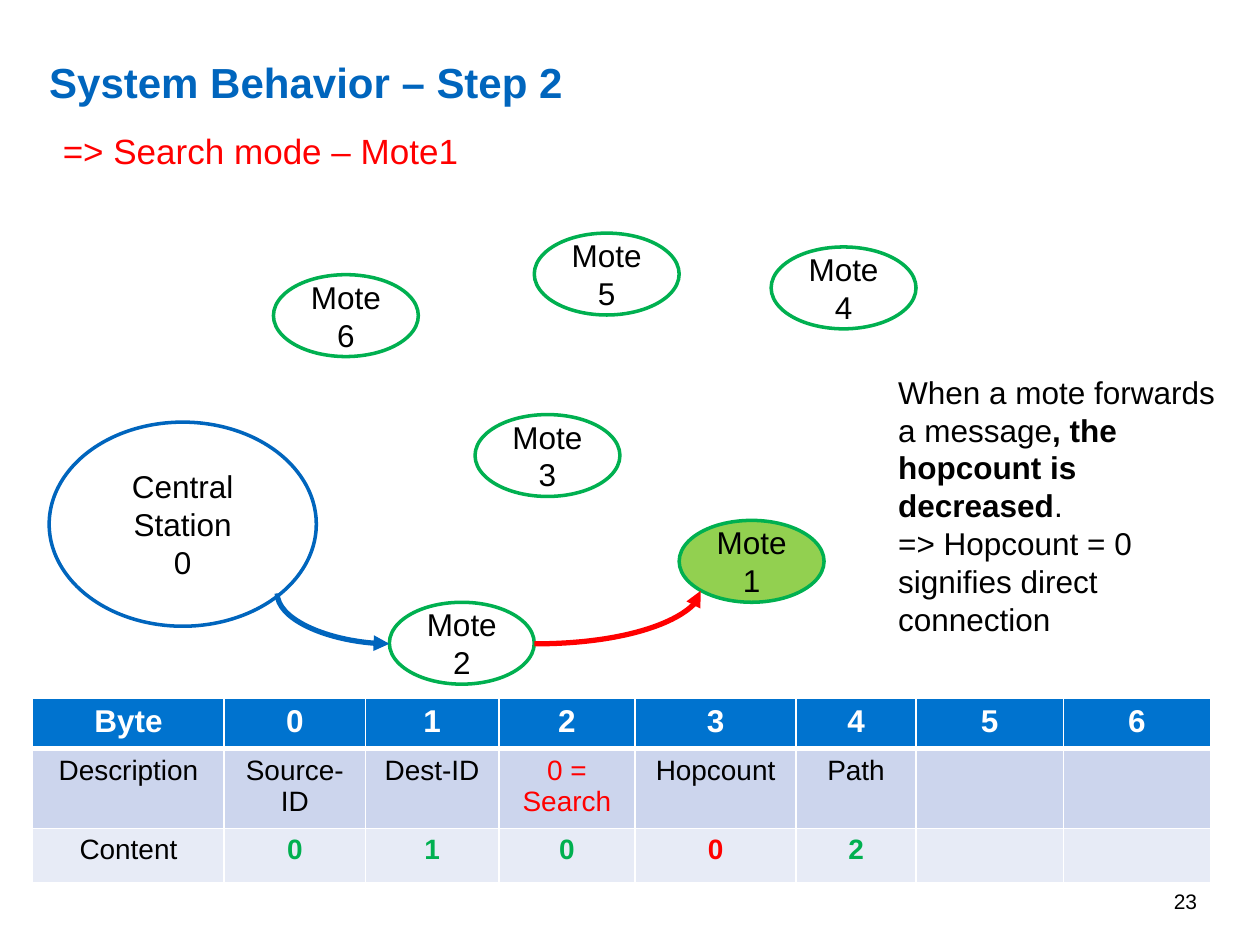
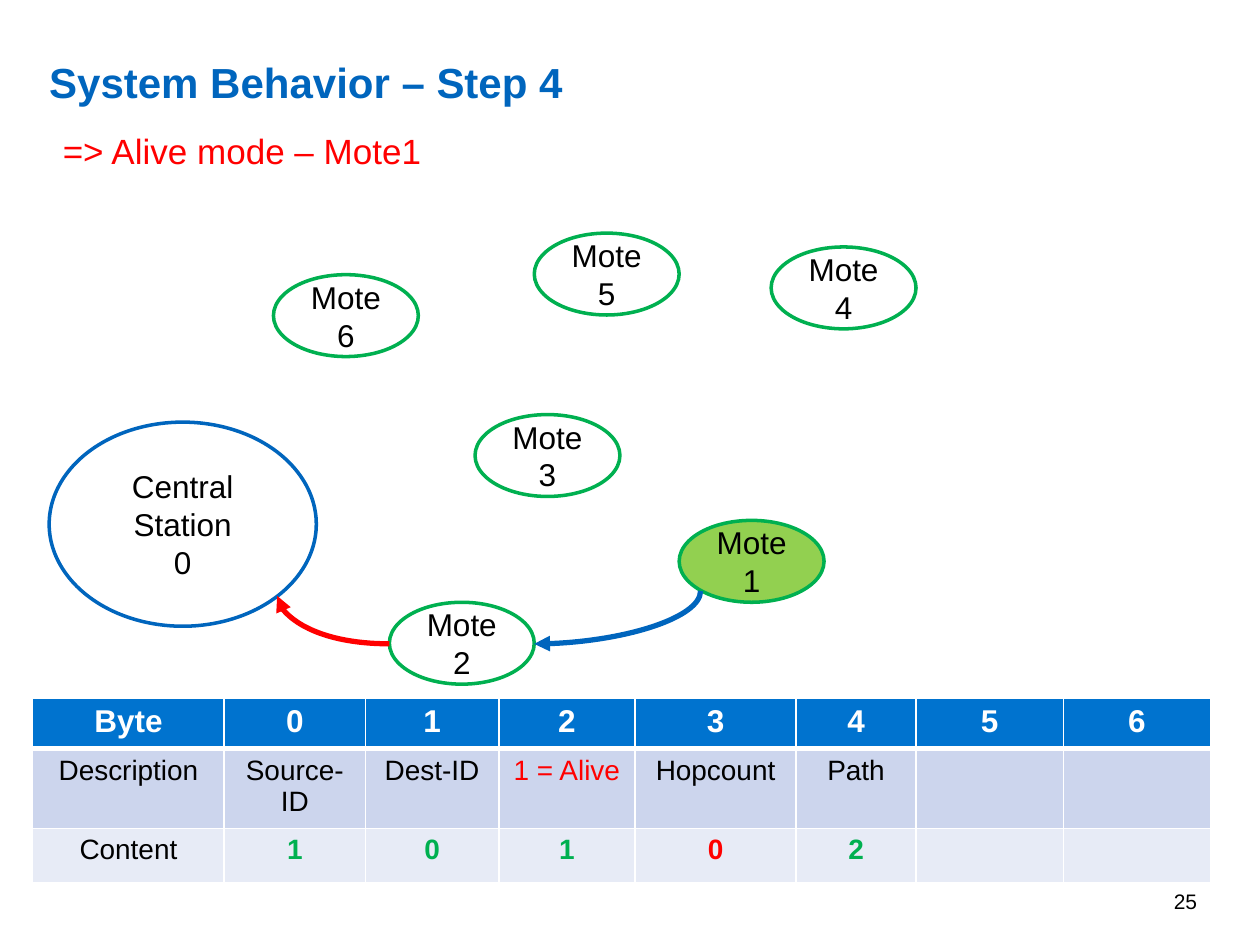
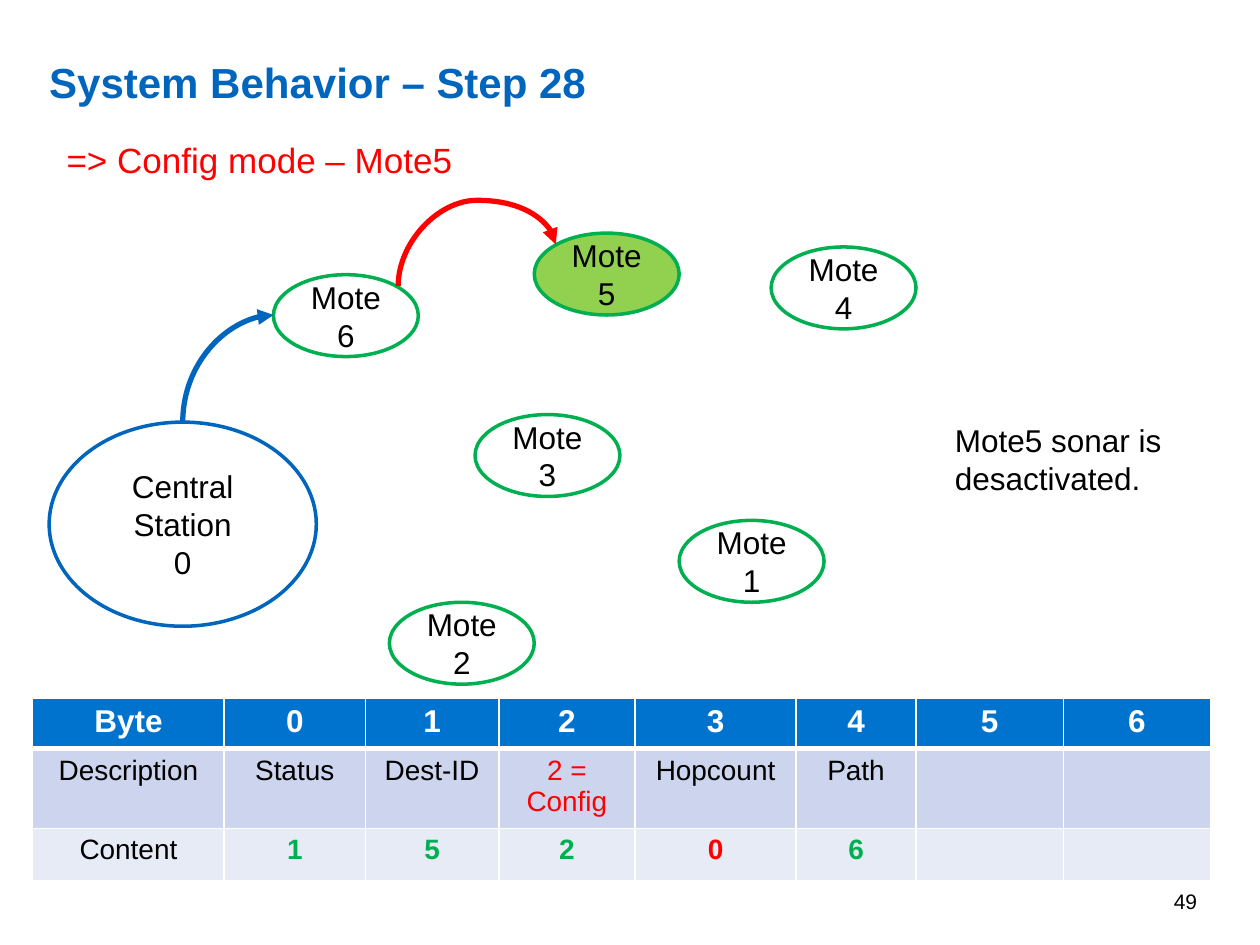
from lxml.etree import SubElement
from pptx import Presentation
from pptx.dml.color import RGBColor
from pptx.enum.shapes import MSO_CONNECTOR, MSO_SHAPE
from pptx.enum.text import MSO_ANCHOR as Anchor, MSO_AUTO_SIZE as AutoSize, PP_ALIGN as Align
from pptx.oxml.ns import qn
from pptx.util import Inches, Pt

# Shared style
FONT = "Arial"
BLUE = RGBColor(0x00, 0x65, 0xBD)
GREEN = RGBColor(0x00, 0xB0, 0x50)
LIME = RGBColor(0x92, 0xD0, 0x50)
RED = RGBColor(0xFF, 0x00, 0x00)
BLACK = RGBColor(0x00, 0x00, 0x00)
WHITE = RGBColor(0xFF, 0xFF, 0xFF)
HEADER_BLUE = RGBColor(0x00, 0x73, 0xCF)
ROW_FILLS = [HEADER_BLUE, RGBColor(0xCC, 0xD5, 0xED), RGBColor(0xE7, 0xEB, 0xF6)]

# Network layout
STATION = (0.39, 3.35, 2.12, 1.62)
MOTE_SIZE = (1.15, 0.65)
MOTES = {6: (2.17, 2.18), 5: (4.24, 1.85), 2: (3.09, 4.78),
         4: (6.12, 1.96), 3: (3.77, 3.29), 1: (5.39, 4.13)}

# Message table
TABLE_LEFT, TABLE_TOP = 0.26, 5.54
COLUMN_WIDTHS = [1.52, 1.12, 1.06, 1.08, 1.28, 0.95, 1.17, 1.17]
TALL_ROWS = [0.4, 0.63, 0.43]
SHORT_ROWS = [0.38, 0.61, 0.42]
HEADER = ["Byte", "0", "1", "2", "3", "4", "5", "6"]
MODE_COLUMN, HOPCOUNT_COLUMN = 3, 4


def format_paragraph(para, size, color=BLACK, bold=None, align=Align.LEFT):
    para.alignment = align
    for span in para.runs:
        span.font.name = FONT
        span.font.size = Pt(size)
        span.font.color.rgb = color
        if bold is not None:
            span.font.bold = bold


def add_title(page, text):
    title = page.shapes.title
    title.left, title.top = Inches(0.39), Inches(0.4)
    title.width, title.height = Inches(7.84), Inches(0.39)
    frame = title.text_frame
    frame.text = text
    frame.auto_size = AutoSize.NONE
    frame.vertical_anchor = Anchor.MIDDLE
    frame.margin_left = frame.margin_right = frame.margin_top = frame.margin_bottom = 0
    frame.paragraphs[0].line_spacing = 1.25
    format_paragraph(frame.paragraphs[0], 24, BLUE, True)


def add_text(page, place, text, size, color=BLACK, align=Align.LEFT, wrap=True):
    box = page.shapes.add_textbox(*map(Inches, place))
    frame = box.text_frame
    frame.word_wrap = wrap
    frame.text = text
    format_paragraph(frame.paragraphs[0], size, color, align=align)
    return frame


def add_page_number(page, number):
    frame = add_text(page, (7.27, 6.95, 2.33, 0.4), number, 12, align=Align.RIGHT)
    frame.vertical_anchor = Anchor.MIDDLE


def add_note(page, place, paragraphs):
    """Each paragraph is a list of (text, bold) spans."""
    frame = add_text(page, place, "", 18)
    for index, spans in enumerate(paragraphs):
        para = frame.add_paragraph() if index else frame.paragraphs[0]
        for text, bold in spans:
            span = para.add_run()
            span.text = text
            span.font.bold = bold
        format_paragraph(para, 18)


def add_node(page, place, text, line, fill=WHITE):
    node = page.shapes.add_shape(MSO_SHAPE.OVAL, *map(Inches, place))
    node.shadow.inherit = False
    node.fill.solid()
    node.fill.fore_color.rgb = fill
    node.line.color.rgb = line
    node.line.width = Pt(2)
    frame = node.text_frame
    frame.text = text
    frame.word_wrap = True
    frame.vertical_anchor = Anchor.MIDDLE
    for para in frame.paragraphs:
        format_paragraph(para, 18, align=Align.CENTER)


def add_network(page, active_mote):
    add_node(page, STATION, "Central Station\n0", BLUE)
    for number, corner in MOTES.items():
        fill = LIME if number == active_mote else WHITE
        add_node(page, corner + MOTE_SIZE, f"Mote {number}", GREEN, fill)


def add_hop(page, start, end, color, upright=False, bulge=None):
    """Curved arrow; upright ones leave vertically, a bulge makes them arch over."""
    (x1, y1), (x2, y2) = start, end
    if upright:
        # Ends of the curve before its quarter turn about the centre
        mid_x, mid_y = (x1 + x2) / 2, (y1 + y2) / 2
        half_x, half_y = (y2 - y1) / 2, (x1 - x2) / 2
        x1, y1, x2, y2 = mid_x - half_x, mid_y - half_y, mid_x + half_x, mid_y + half_y
    hop = page.shapes.add_connector(MSO_CONNECTOR.CURVE, *map(Inches, (x1, y1, x2, y2)))
    hop.line.color.rgb = color
    hop.line.width = Pt(3)
    properties = hop._element.spPr
    if upright:
        properties.find(qn("a:xfrm")).set("rot", "5400000")
    geometry = properties.find(qn("a:prstGeom"))
    if bulge is None:
        geometry.set("prst", "curvedConnector2")
    else:
        guides = geometry.find(qn("a:avLst"))
        SubElement(guides, qn("a:gd"), name="adj1", fmla=f"val {round(bulge * 100000)}")
    SubElement(properties.find(qn("a:ln")), qn("a:tailEnd"), type="triangle")
    SubElement(properties, qn("a:effectLst"))


def add_border(cell, side, width):
    edge = SubElement(cell._tc.get_or_add_tcPr(), qn(f"a:ln{side}"), w=str(Pt(width)))
    fill = SubElement(edge, qn("a:solidFill"))
    SubElement(fill, qn("a:srgbClr"), val=str(WHITE))


def cell_style(row, column):
    """Size, colour and weight of the text in a cell."""
    if row == 0:
        return 18, WHITE, True
    if row == 1:
        return 16, RED if column == MODE_COLUMN else BLACK, False
    if column == 0:
        return 16, BLACK, False
    return 16, RED if column == HOPCOUNT_COLUMN else GREEN, True


def add_message_table(page, source, mode, content, row_heights):
    rows = [HEADER,
            ["Description", source, "Dest-ID", mode, "Hopcount", "Path", "", ""],
            ["Content", *content, "", ""]]
    place = (TABLE_LEFT, TABLE_TOP, sum(COLUMN_WIDTHS), sum(row_heights))
    table = page.shapes.add_table(len(rows), len(HEADER), *map(Inches, place)).table
    table.horz_banding = False
    for column, width in zip(table.columns, COLUMN_WIDTHS):
        column.width = Inches(width)
    for row, texts in enumerate(rows):
        table.rows[row].height = Inches(row_heights[row])
        for column, text in enumerate(texts):
            cell = table.cell(row, column)
            for side in "LRTB":
                thick = (row, side) in ((0, "B"), (1, "T"))
                add_border(cell, side, 3 if thick else 1)
            cell.fill.solid()
            cell.fill.fore_color.rgb = ROW_FILLS[row]
            cell.text = text
            format_paragraph(cell.text_frame.paragraphs[0], *cell_style(row, column),
                             align=Align.CENTER)


def add_step(deck, step, number, mode, mode_place, active_mote):
    page = deck.slides.add_slide(deck.slide_layouts[5])
    add_page_number(page, number)
    add_title(page, f"System Behavior – Step {step}")
    add_network(page, active_mote)
    add_text(page, mode_place, f"=> {mode} mode – Mote{active_mote}", 20, RED, wrap=False)
    return page


def main():
    deck = Presentation()
    deck.slide_width, deck.slide_height = Inches(10), Inches(7.5)

    # Step 2: search message to mote 1
    page = add_step(deck, 2, "23", "Search", (0.4, 0.98, 3.36, 0.44), 1)
    add_note(page, (7.03, 2.91, 2.81, 2.52), [
        [("When a mote forwards a message", False),
         (", the hopcount is decreased", True), (".", False)],
        [("=> Hopcount = 0 signifies direct connection", False)]])
    add_message_table(page, "Source-ID", "0 = Search", "01002", TALL_ROWS)
    add_hop(page, (2.2, 4.71), (3.09, 5.11), BLUE, upright=True)
    add_hop(page, (4.24, 5.11), (5.56, 4.69), RED)

    # Step 4: alive message back from mote 1
    page = add_step(deck, 4, "25", "Alive", (0.4, 0.98, 3.07, 0.44), 1)
    add_message_table(page, "Source-ID", "1 = Alive", "10102", TALL_ROWS)
    add_hop(page, (5.56, 4.69), (4.24, 5.11), BLUE, upright=True)
    add_hop(page, (3.09, 5.11), (2.2, 4.73), RED)

    # Step 28: config message to mote 5
    page = add_step(deck, 28, "49", "Config", (0.43, 1.05, 3.28, 0.44), 5)
    add_message_table(page, "Status", "2 = Config", "15206", SHORT_ROWS)
    add_hop(page, (1.45, 3.35), (2.17, 2.5), BLUE, upright=True)
    add_hop(page, (3.16, 2.27), (4.41, 1.94), RED, upright=True, bulge=2.06)
    add_note(page, (7.48, 3.29, 1.95, 0.71), [[("Mote5 sonar is desactivated.", False)]])

    deck.save("out.pptx")


if __name__ == "__main__":
    main()
